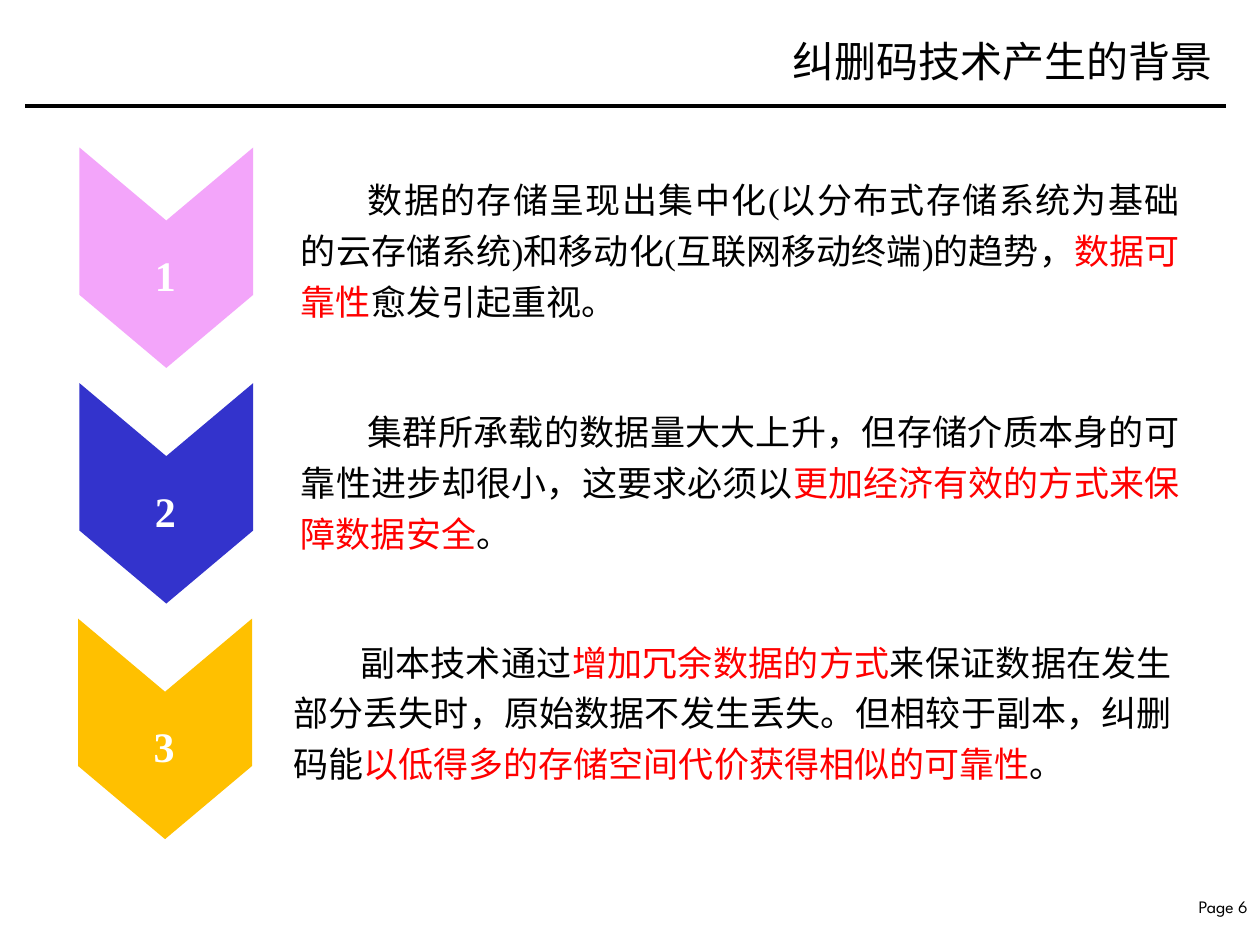
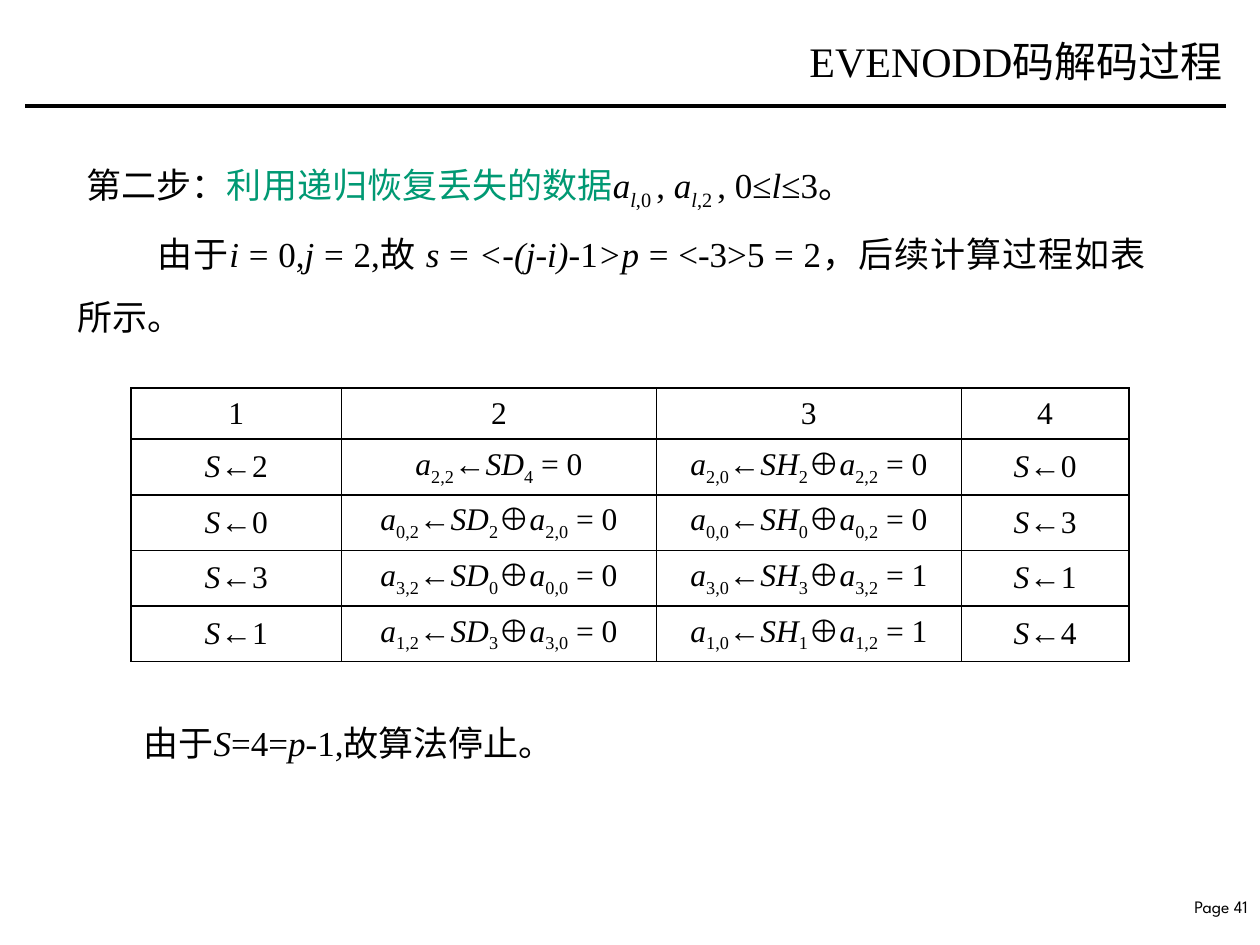
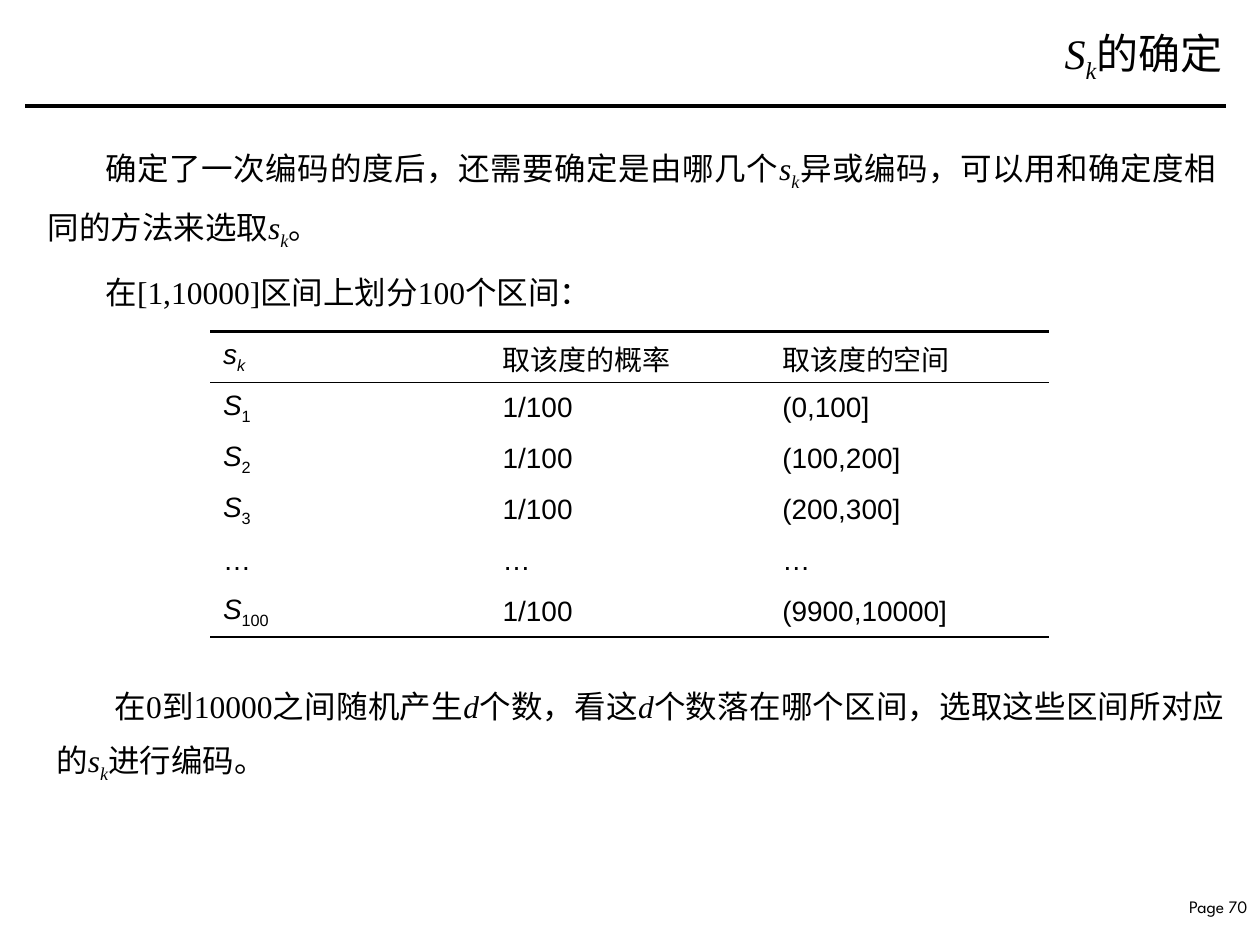
from lxml.etree import SubElement
from pptx import Presentation
from pptx.dml.color import RGBColor
from pptx.enum.shapes import MSO_CONNECTOR
from pptx.enum.text import MSO_ANCHOR, PP_ALIGN
from pptx.oxml.ns import qn
from pptx.util import Inches, Pt

# Shared look
BLACK, WHITE, RED, GREEN = "000000", "FFFFFF", "FF0000", "009973"
PINK, BLUE, AMBER = "F3A5FA", "3333CC", "FFC000"
SERIF, SANS, FOOTER_FONT = "Times New Roman", "Arial", "League Spartan"


def color(hex_text):
    return RGBColor.from_string(hex_text)


# Spans: a piece of text with what sets it apart from its paragraph
def plain(text):
    return text, {}


def italic(text):
    return text, {"italic": True}


def lower(text):
    return text, {"lowered": True}


def lower_italic(text):
    return text, {"lowered": True, "italic": True}


def tinted(text, hex_text):
    return text, {"hex_text": hex_text}


def add_span(para, text, size, font, hex_text=BLACK, italic=False, bold=False, lowered=False):
    span = para.add_run()
    span.text = text
    span.font.size = Pt(size)
    span.font.name = font
    span.font.italic = italic
    span.font.bold = bold
    span.font.color.rgb = color(hex_text)
    if lowered:
        span.font._element.set("baseline", "-25000")


def fill_para(para, spans, size, font=SERIF, align=PP_ALIGN.LEFT, spacing=None, indent=0):
    if indent:
        para._p.get_or_add_pPr().set("indent", str(Inches(indent)))
    para.alignment = align
    if spacing:
        para.line_spacing = Pt(spacing)
    for text, style in spans:
        add_span(para, text, size, font, **style)


def add_box(page, left, top, width, height, paras, size, anchor=MSO_ANCHOR.TOP, **layout):
    """Add a text box; paras is a list of (indent, spans)."""
    box = page.shapes.add_textbox(Inches(left), Inches(top), Inches(width), Inches(height))
    frame = box.text_frame
    frame.word_wrap = True
    frame.vertical_anchor = anchor
    for number, (indent, spans) in enumerate(paras):
        para = frame.add_paragraph() if number else frame.paragraphs[0]
        fill_para(para, spans, size, indent=indent, **layout)
    return box


def add_body(page, left, top, width, height, paras, size, spacing):
    add_box(page, left, top, width, height, paras, size,
            align=PP_ALIGN.JUSTIFY, spacing=spacing)


def add_page(deck, title, number, title_top=0.11, title_inset=0.1):
    """Add a page with its title, rule and page number."""
    page = deck.slides.add_slide(deck.slide_layouts[6])
    add_box(page, 9.2, 7.06, 0.8, 0.26, [(0, [plain(f"Page {number}")])], 10,
            font=FOOTER_FONT, align=PP_ALIGN.RIGHT)
    rule = page.shapes.add_connector(MSO_CONNECTOR.STRAIGHT, Inches(0.2), Inches(0.84),
                                     Inches(9.73), Inches(0.84))
    rule.line.color.rgb = color(BLACK)
    rule.line.width = Pt(2)
    SubElement(rule._element.spPr, qn("a:effectLst"))
    heading = add_box(page, 4.86, title_top, 4.94, 0.75, [(0, title)], 24,
                      anchor=MSO_ANCHOR.MIDDLE, align=PP_ALIGN.RIGHT)
    heading.text_frame.margin_right = Inches(title_inset)
    return page


def add_chevron(page, left, top, label, hex_text):
    """Add a downward chevron with a number on it."""
    width, height, notch = 1.38, 1.75, 0.58
    points = [(0, 0), (width / 2, notch), (width, 0), (width, height - notch),
              (width / 2, height), (0, height - notch)]
    corners = [(Inches(left + x), Inches(top + y)) for x, y in points]
    outline = page.shapes.build_freeform(*corners[0])
    outline.add_line_segments(corners[1:], close=True)
    chevron = outline.convert_to_shape()
    chevron.shadow.inherit = False
    chevron.fill.solid()
    chevron.fill.fore_color.rgb = color(hex_text)
    chevron.line.fill.background()
    digit = (label, {"hex_text": WHITE, "bold": True})
    add_box(page, left + 0.5, top + 0.76, 0.39, 0.52, [(0, [digit])], 24)


def set_borders(cell, widths):
    """Draw the sides named in widths (L, R, T, B) and clear the others."""
    properties = cell._tc.get_or_add_tcPr()
    for side in "LRTB":
        line = SubElement(properties, qn(f"a:ln{side}"))
        if side in widths:
            line.set("w", str(Pt(widths[side])))
            ink = SubElement(line, qn("a:solidFill"))
            SubElement(ink, qn("a:srgbClr")).set("val", BLACK)
        else:
            SubElement(line, qn("a:noFill"))


def add_grid(page, left, top, widths, height, rows, borders, size, font, align):
    """Add a table; borders gives the side widths for a row number."""
    frame = page.shapes.add_table(len(rows), len(widths), Inches(left), Inches(top),
                                  Inches(sum(widths)), Inches(height))
    table = frame.table
    table.first_row = table.horz_banding = False
    for column, width in zip(table.columns, widths):
        column.width = Inches(width)
    for row_number, row in enumerate(rows):
        for column_number, spans in enumerate(row):
            cell = table.cell(row_number, column_number)
            cell.vertical_anchor = MSO_ANCHOR.MIDDLE
            set_borders(cell, borders(row_number))
            cell.fill.background()
            fill_para(cell.text_frame.paragraphs[0], spans, size, font, align)


# Page on the background
def add_background_page(deck):
    page = add_page(deck, [plain("纠删码技术产生的背景")], 6, title_inset=0.18)
    reasons = [
        (0.63, 2.29, 1.3, PINK, [
            plain("数据的存储呈现出集中化(以分布式存储系统为基础的云存储系统)"
                  "和移动化(互联网移动终端)的趋势，"),
            tinted("数据可靠性", RED), plain("愈发引起重视。")]),
        (0.63, 2.29, 3.14, BLUE, [
            plain("集群所承载的数据量大大上升，但存储介质本身的可靠性进步却很小，这要求必须以"),
            tinted("更加经济有效的方式来保障数据安全", RED), plain("。")]),
        (0.62, 2.23, 4.97, AMBER, [
            plain("副本技术通过"), tinted("增加冗余数据的方式", RED),
            plain("来保证数据在发生部分丢失时，原始数据不发生丢失。但相较于副本，纠删码能"),
            tinted("以低得多的存储空间代价获得相似的可靠性", RED), plain("。")]),
    ]
    for number, (left, text_left, text_top, hex_text, spans) in enumerate(reasons):
        add_chevron(page, left, 1.17 + 1.87 * number, str(number + 1), hex_text)
        add_body(page, text_left, text_top, 7.17, 1.28, [(0.53, spans)], 20, 29)


# Page on decoding
def decoding_rows():
    """Each step s recovers row s of both lost columns, then moves to s - 2 modulo 5."""
    rows = [[[plain(str(number))] for number in range(1, 5)]]
    previous = None
    for step, value in [(2, 0), (0, 0), (3, 1), (1, 1)]:
        diagonal = [italic("a"), lower(f"{step},2"), plain("←"),
                    italic("SD"), lower(str((step + 2) % 5))]
        if previous is not None:
            diagonal += [plain("⊕"), italic("a"), lower(f"{previous},0")]
        horizontal = [italic("a"), lower(f"{step},0"), plain("←"),
                      italic("SH"), lower(str(step)), plain("⊕"),
                      italic("a"), lower(f"{step},2"), plain(f" = {value}")]
        rows.append([[italic("S"), plain(f"←{step}")], diagonal + [plain(" = 0")],
                     horizontal, [italic("S"), plain(f"←{(step - 2) % 5}")]])
        previous = step
    return rows


def add_decoding_page(deck):
    page = add_page(deck, [plain("EVENODD码解码过程")], 41)
    second_step = [
        plain("第二步："), tinted("利用递归恢复丢失的数据", GREEN),
        italic("a"), lower_italic("l"), lower(",0 "), plain(", "),
        italic("a"), lower_italic("l"), lower(",2 "), plain(", 0≤"),
        italic("l"), plain("≤3。")]
    start_value = [
        plain("由于"), italic("i"), plain(" = 0,"), italic("j"), plain(" = 2,故 "),
        italic("s"), plain(" = "), italic("<-(j-i)"), plain("-1"), italic(">p"),
        plain(" = <-3>5 = 2，后续计算过程如表所示。")]
    add_body(page, 0.52, 1.13, 8.67, 1.55, [(0.07, second_step), (0.63, start_value)], 20, 36)
    add_grid(page, 1.04, 3.08, [1.67, 2.5, 2.42, 1.33], 2.03, decoding_rows(),
             lambda row: dict.fromkeys("LRTB", 1), 18, SERIF, PP_ALIGN.CENTER)
    ending = [plain("由于"), italic("S"), plain("=4="), italic("p"), plain("-1,故算法停止。")]
    add_body(page, 1.04, 5.51, 3.75, 0.54, [(0, ending)], 20, 36)


# Page on choosing the symbols
def add_selection_page(deck):
    symbol = [italic("s"), lower_italic("k")]
    page = add_page(deck, [italic("S"), lower_italic("k"), plain("的确定")], 70, title_top=0.07)
    method = [plain("确定了一次编码的度后，还需要确定是由哪几个"), *symbol,
              plain("异或编码，可以用和确定度相同的方法来选取"), *symbol, plain("。")]
    division = [plain("在[1,10000]区间上划分100个区间：")]
    add_body(page, 0.28, 1, 9.47, 1.47, [(0.46, method), (0.46, division)], 18, 34)

    rows = [[symbol, [plain("取该度的概率")], [plain("取该度的空间")]]]
    for index in [1, 2, 3, None, 100]:
        if index is None:
            rows.append([[plain("…")]] * 3)
        else:
            interval = f"({(index - 1) * 100},{index * 100}]"
            rows.append([[italic("S"), lower(str(index))], [plain("1/100")], [plain(interval)]])
    borders = {0: {"T": 1.5, "B": 0.5}, 1: {"T": 0.5}, len(rows) - 1: {"B": 1.5}}
    add_grid(page, 1.67, 2.63, [2.22] * 3, 2.43, rows,
             lambda row: borders.get(row, {}), 16, SANS, PP_ALIGN.LEFT)

    drawing = [plain("在0到10000之间随机产生"), italic("d"), plain("个数，看这"), italic("d"),
               plain("个数落在哪个区间，选取这些区间所对应的"), *symbol, plain("进行编码。")]
    add_body(page, 0.35, 5.23, 9.47, 0.99, [(0.46, drawing)], 18, 34)


def main():
    deck = Presentation()
    deck.slide_width, deck.slide_height = Inches(10), Inches(7.5)
    add_background_page(deck)
    add_decoding_page(deck)
    add_selection_page(deck)
    deck.save("out.pptx")


if __name__ == "__main__":
    main()
